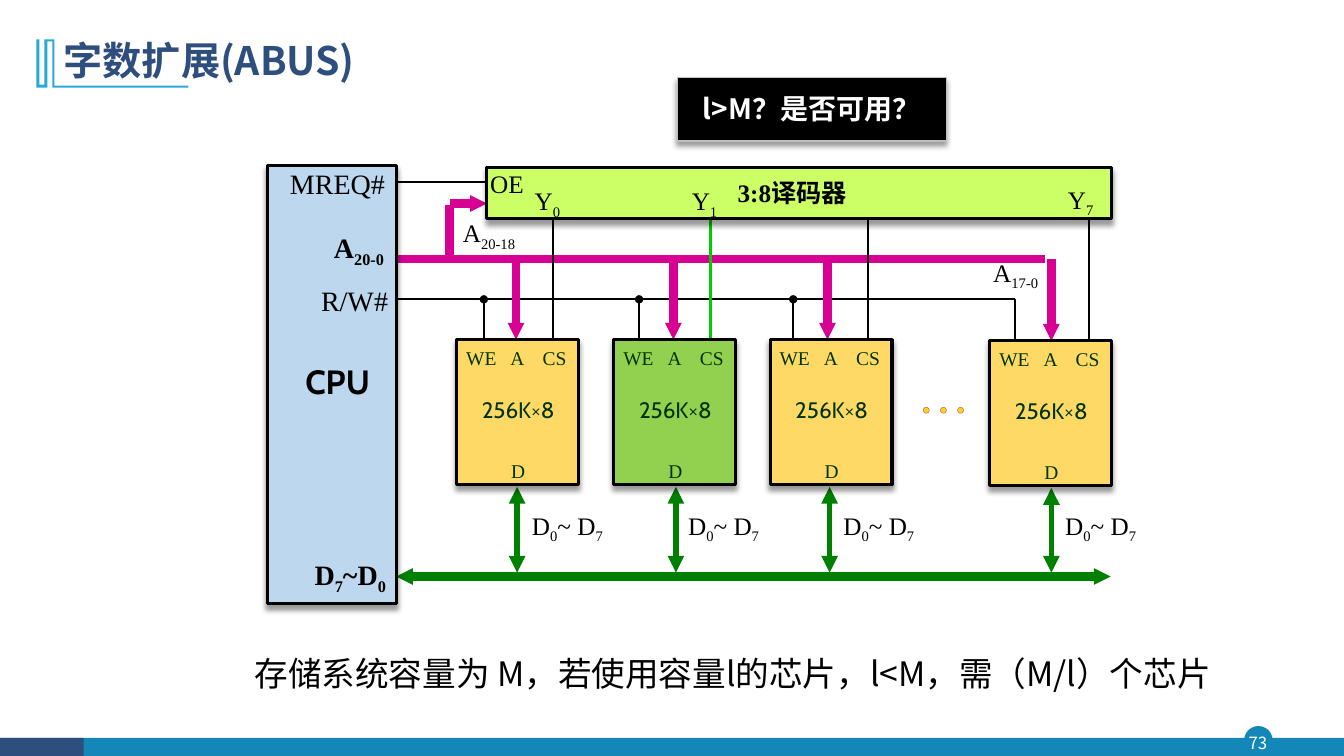
"""Build the slide on word-count expansion of a memory system."""
import pptx
import pptx.util
import pptx.dml.color
import pptx.enum.shapes
import pptx.enum.text
import pptx.oxml
import pptx.oxml.ns

Pt = pptx.util.Pt
SHAPE = pptx.enum.shapes.MSO_SHAPE
ALIGN = pptx.enum.text.PP_ALIGN
MIDDLE = pptx.enum.text.MSO_ANCHOR.MIDDLE
qn = pptx.oxml.ns.qn

COLORS = {
    "black": "000000", "white": "FFFFFF", "gray": "BFBFBF", "navy": "2E4E7E",
    "teal": "1387B7", "cyan": "28A9D6", "magenta": "D60093", "green": "008000",
    "select": "00CC00", "ink": "003300", "yellow": "FFD966", "lime": "92D050",
    "decoder": "CCFF66", "cpu": "BDD7EE", "dot": "FFCC00", "plum": "954F72",
}
SANS, SERIF, LATIN = "Noto Sans CJK SC", "Times New Roman", "Cabin"

TITLE = "字数扩展(ABUS)"
QUESTION = "l>M？是否可用？"
CONCLUSION = "存储系统容量为 M，若使用容量l的芯片，l<M，需（M/l）个芯片"
PAGE = "73"

CHIPS = [
    dict(x=326.2, y=242.6, we=345.6, addr=368.6, cs=395.3, data=369.4, label=431.3, fill="yellow"),
    dict(x=438.5, y=242.6, we=456.5, addr=481, cs=507.6, data=482.8, label=542.9, fill="lime"),
    dict(x=550.1, y=242.6, we=566.6, addr=591.1, cs=619.9, data=592.6, label=653.8, fill="yellow"),
    dict(x=707, y=243.4, we=725, addr=751, cs=777.6, data=751, label=812.2, fill="yellow"),
]
CHIP_W, CHIP_H = 87.1, 103.7
CHIP_PINS = [("WE", -2.2, -2.2, 39.6), ("A", 30.4, -2.2, 26),
             ("CS", 52.6, -2.2, 34.6), ("D", 31, 78.5, 26)]
CAPACITY = "256K×8"
ADDRESS_Y, WRITE_Y, DATA_Y, DECODER_BOTTOM = 185, 213.8, 411.8, 156.5

SUB_LABELS = [
    (("A", "17-0"), 671, 182.9, 71.3, 35, 18, False, ALIGN.RIGHT),
    (("A", "20-18"), 298, 154.8, 70.6, 35, 18, False, ALIGN.RIGHT),
    (("A", "20-0"), 194.4, 164.2, 80.6, 40, 20, True, ALIGN.RIGHT),
    (("MREQ#",), 195.1, 118.1, 80.6, 40, 20, False, ALIGN.RIGHT),
    (("R/W#",), 197.3, 201.6, 80.6, 40, 20, False, ALIGN.RIGHT),
    (("D", "7", "~D", "0"), 195.8, 397.4, 80.6, 40, 20, True, ALIGN.RIGHT),
    (("Y", "0"), 374.4, 131.8, 33.1, 22.3, 18, False, ALIGN.CENTER),
    (("Y", "1"), 486.7, 131.8, 33.1, 22.3, 18, False, ALIGN.CENTER),
    (("Y", "7"), 755.3, 131, 33.1, 22.3, 18, False, ALIGN.CENTER),
    (("OE",), 345.6, 119.5, 33.1, 22.3, 18, False, ALIGN.CENTER),
]
ORNAMENT = [(38.9, 28.1), (38.9, 61.2), (134.6, 61.2), (134.6, 62.6), (37.4, 62.6),
            (37.4, 29.5), (33.8, 29.5), (33.8, 62.6), (25.9, 62.6), (25.9, 28.1),
            (28.1, 28.1), (28.1, 60.5), (31.7, 60.5), (31.7, 28.1)]


def rgb(name):
    return pptx.dml.color.RGBColor.from_string(COLORS[name])


def child(parent, tag, **attrs):
    el = parent.makeelement(qn(tag), attrs)
    parent.append(el)
    return el


def paint(sp, fill, line=None, width=1, shadow=False):
    sp.fill.solid()
    sp.fill.fore_color.rgb = rgb(fill)
    if line:
        sp.line.color.rgb = rgb(line)
        sp.line.width = Pt(width)
    else:
        sp.line.fill.background()
    sp.shadow.inherit = False
    if shadow:
        effects = sp._element.spPr.find(qn("a:effectLst"))
        outer = child(effects, "a:outerShdw", blurRad=str(Pt(4)), dist=str(Pt(3)),
                      dir="5400000", algn="t", rotWithShape="0")
        child(child(outer, "a:srgbClr", val=COLORS["black"]), "a:alpha", val="40000")
    return sp


def box(x, y, w, h, fill, line=None, width=1, shadow=False, kind=SHAPE.RECTANGLE):
    sp = shapes.add_shape(kind, Pt(x), Pt(y), Pt(w), Pt(h))
    return paint(sp, fill, line, width, shadow)


def wire(x1, y1, x2, y2, color="black", width=1.5, head=None, tail=None, size="med"):
    sp = shapes.add_connector(pptx.enum.shapes.MSO_CONNECTOR.STRAIGHT,
                              Pt(x1), Pt(y1), Pt(x2), Pt(y2))
    sp.line.color.rgb = rgb(color)
    sp.line.width = Pt(width)
    ln = sp.line._get_or_add_ln()
    for tag, end in (("a:headEnd", head), ("a:tailEnd", tail)):
        if end:
            child(ln, tag, type=end, w=size, len=size)
    child(sp._element.spPr, "a:effectLst")


def write(tf, parts, size, font, color="black", bold=False, align=ALIGN.LEFT, bases=(0, -25)):
    p = tf.paragraphs[0]
    p.alignment = align
    for i, part in enumerate(parts):
        r = p.add_run()
        r.text = part
        r.font.size, r.font.name, r.font.bold = Pt(size), font, bold
        r.font.color.rgb = rgb(color)
        rPr = r._r.get_or_add_rPr()
        child(rPr, "a:ea", typeface=SANS)
        if bases[i % 2]:
            rPr.set("baseline", str(bases[i % 2] * 1000))
    return p


def text(parts, x, y, w, h, size, font, inset=None, wrap=True, **style):
    tf = shapes.add_textbox(Pt(x), Pt(y), Pt(w), Pt(h)).text_frame
    tf.word_wrap = wrap
    if inset is not None:
        tf.margin_left = tf.margin_right = tf.margin_top = tf.margin_bottom = Pt(inset)
    write(tf, parts, size, font, **style)
    return tf


def draw_chip(chip):
    x, y = chip["x"], chip["y"]
    box(x, y, CHIP_W, CHIP_H, chip["fill"], "black", 2.25, True)
    for pin, dx, dy, w in CHIP_PINS:
        text([pin], x + dx, y + dy, w, 36, 24, SERIF, wrap=False,
             color="ink", align=ALIGN.CENTER, bases=(30, 30))
    text([CAPACITY], x - 1.4, y + 36.7, 90.7, 26.6, 16, LATIN, color="ink", align=ALIGN.CENTER)


prs = pptx.Presentation()
prs.slide_width, prs.slide_height = Pt(960), Pt(540)
s = prs.slides.add_slide(prs.slide_layouts[5])
shapes = s.shapes

title = shapes.title
title.left, title.top, title.width, title.height = Pt(38.2), Pt(20.2), Pt(828), Pt(49)
title.text_frame.vertical_anchor = MIDDLE
write(title.text_frame, [TITLE], 28, SANS, "navy", True).line_spacing = 0.9

box(889.2, 519.1, 19.4, 19.4, "teal", "teal", kind=SHAPE.OVAL)
box(0, 527, 960, 13, "teal")
box(0, 527, 59.8, 13, "navy")
text([PAGE], 887, 519.1, 23, 22.3, 12, SANS, inset=0, color="white",
     align=ALIGN.CENTER).vertical_anchor = MIDDLE
outline = [(Pt(x), Pt(y)) for x, y in ORNAMENT]
builder = shapes.build_freeform(*outline[0], scale=1.0)
builder.add_line_segments(outline[1:], close=True)
paint(builder.convert_to_shape(), "cyan")

wire(279.4, WRITE_Y, CHIPS[-1]["we"], WRITE_Y)
wire(282.2, 130.3, 347.8, 130.3)
wire(281.5, ADDRESS_Y, 746.6, ADDRESS_Y, "magenta", 6)
wire(321.1, ADDRESS_Y, 321.1, 146.2, "magenta", 6)
wire(321.1, 145.4, 347.8, 145.4, "magenta", 6, tail="triangle", size="sm")
wire(283, DATA_Y, 793.4, DATA_Y, "green", 6, "triangle", "triangle", "sm")
for chip in CHIPS:
    last, selected = chip is CHIPS[-1], chip["fill"] == "lime"
    wire(chip["we"], chip["y"], chip["we"], WRITE_Y, tail=None if last else "oval")
    wire(chip["addr"], ADDRESS_Y if last else 188, chip["addr"], chip["y"],
         "magenta", 6, tail="triangle", size="sm")
    wire(chip["cs"], chip["y"], chip["cs"], DECODER_BOTTOM,
         "select" if selected else "black", 2.25 if selected else 1.5)
    wire(chip["data"], chip["y"] + 105.2, chip["data"], 409, "green", 4, "triangle", "triangle")
    text(("D", "0", "~ D", "7"), chip["label"] - 58, 363.6, 58, 34.6, 18, SERIF,
         inset=0.72, align=ALIGN.RIGHT)
    draw_chip(chip)

for i in range(3):
    dot = box(659.5 + 12.25 * i, 290.9, 4.3, 4.3, "dot", "plum", 0.25, kind=SHAPE.OVAL)
    child(dot._element.spPr.find(qn("a:solidFill"))[0], "a:alpha", val="90000")

box(190.8, 118.1, 92.2, 313.2, "cpu", "black", 2.25, True)
box(347.8, 119.5, 446.4, 36.7, "decoder", "black", 2.25, True)
text(["3:8译码器"], 519.8, 123.1, 96.5, 28.8, 18, SERIF, wrap=False, bold=True)
text(["CPU"], 184.3, 257, 80.6, 40.3, 24, LATIN, inset=0.72, bold=True, align=ALIGN.RIGHT)
for parts, x, y, w, h, size, bold, align in SUB_LABELS:
    text(parts, x, y, w, h, size, SERIF, inset=0.72, bold=bold, align=align)

box(483.8, 55.4, 192.2, 45.4, "black", "gray", 1, True)
text([QUESTION], 483.8, 61.9, 192.2, 31.7, 20, SANS, color="white", bold=True, align=ALIGN.CENTER)
text([CONCLUSION], 140.4, 463, 731.5, 36, 24, SANS, align=ALIGN.RIGHT)

prs.save("out.pptx")
